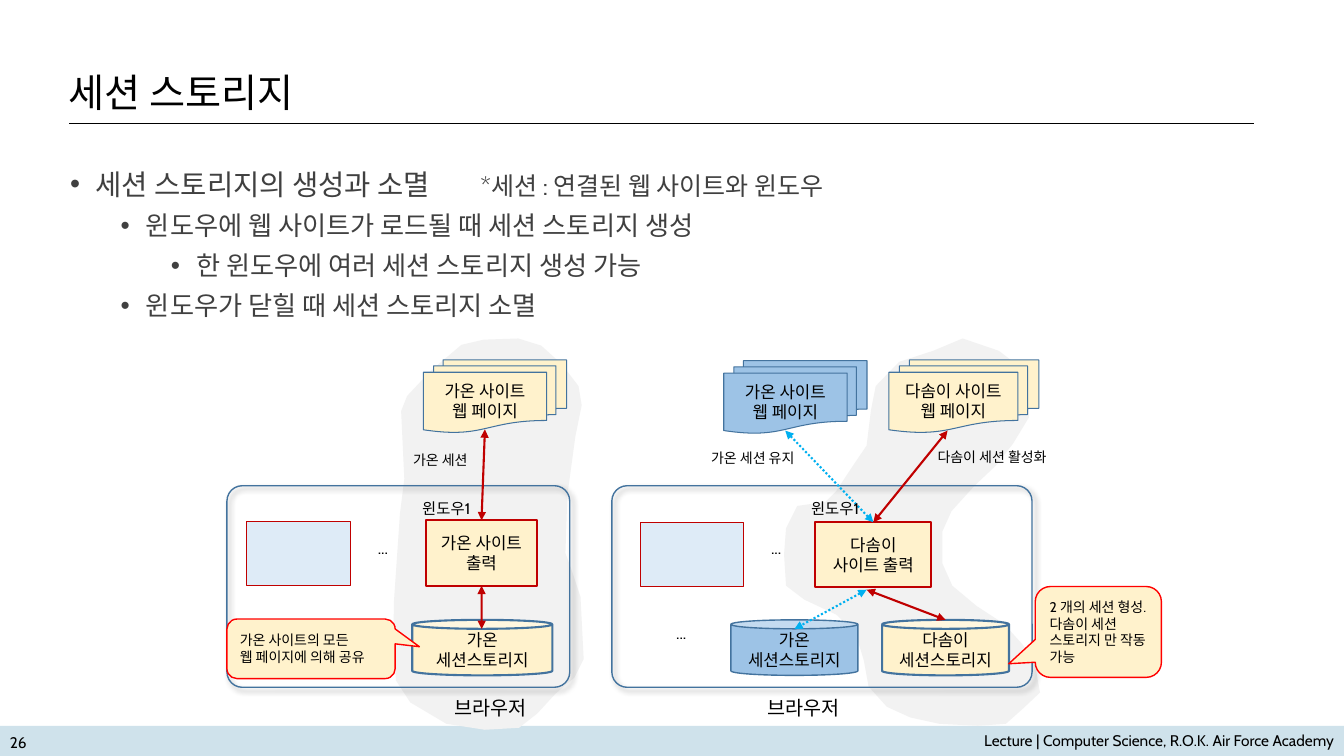
from dataclasses import dataclass
from typing import Optional

import lxml.etree
import pptx
import pptx.dml.color
import pptx.enum.dml
import pptx.enum.shapes
import pptx.enum.text
import pptx.oxml
import pptx.oxml.ns
import pptx.util

Cm, Pt = pptx.util.Cm, pptx.util.Pt
Kind = pptx.enum.shapes.MSO_SHAPE
Align = pptx.enum.text.PP_ALIGN
Anchor = pptx.enum.text.MSO_ANCHOR
NS = 'xmlns:a="http://schemas.openxmlformats.org/drawingml/2006/main"'

FONT = "Cabin"
BLACK, GREY, PALE = "000000", "404040", "F2F2F2"
CREAM, SKY, ICE, BAR = "FFF2CC", "9DC3E6", "DEEBF7", "CFE2EB"
STEEL, WINE, RED, AQUA = "43739E", "C00000", "FF0000", "00B0F0"
ROUND, CAN, RECT = Kind.ROUNDED_RECTANGLE, Kind.CAN, Kind.RECTANGLE
DOCS, CALL = Kind.FLOWCHART_MULTIDOCUMENT, Kind.ROUNDED_RECTANGULAR_CALLOUT

Box = tuple[float, float, float, float]
Point = tuple[float, float]


@dataclass
class Part:
    key: str
    kind: int
    box: Box
    fill: Optional[str]
    line: Optional[str]
    width: float = 0.75
    text: tuple[str, ...] = ()
    adj: tuple[float, ...] = ()
    size: float = 12
    align: int = Align.CENTER


@dataclass
class Label:
    text: str
    box: Box
    size: float
    align: int = Align.LEFT
    wrap: bool = False
    middle: bool = False


@dataclass
class Link:
    start: Point
    end: Point
    color: str
    dots: bool = False
    head: str = ""  # part whose bottom the link leaves
    tail: str = ""  # part whose top the link reaches


@dataclass
class Item:
    level: int
    before: float
    runs: tuple[tuple[str, float], ...]


PARTS = [
    Part("frame2", ROUND, (15.42, 12.24, 10.59, 5.08), None, STEEL, 1, adj=(0.076,)),
    Part("frame1", ROUND, (5.72, 12.24, 8.64, 5.08), None, STEEL, 1, adj=(0.076,)),
    Part("store1", CAN, (10.39, 15.62, 3.53, 1.4), CREAM, STEEL, 1.5, ("가온", "세션스토리지"), (0.162,)),
    Part("store2", CAN, (18.42, 15.62, 3.2, 1.4), SKY, STEEL, 1, ("가온", "세션스토리지"), (0.162,)),
    Part("store3", CAN, (22.23, 15.62, 3.2, 1.4), CREAM, STEEL, 1.5, ("다솜이", "세션스토리지"), (0.162,)),
    Part("blank1", RECT, (6.22, 13.13, 2.62, 1.63), ICE, WINE),
    Part("blank2", RECT, (16.13, 13.16, 2.62, 1.63), ICE, WINE),
    Part("view1", RECT, (10.74, 13.11, 2.79, 1.65), CREAM, WINE, 1.5, ("가온 사이트", "출력")),
    Part("view2", RECT, (20.55, 13.16, 2.92, 1.63), CREAM, WINE, 1.5, ("다솜이", "사이트 출력")),
    Part("note1", CALL, (5.72, 15.6, 4.24, 1.5), CREAM, RED, 1,
         ("가온 사이트의 모든", "웹 페이지에 의해 공유"), (0.644, -0.035, 0.167), 10, Align.LEFT),
    Part("note2", CALL, (26.09, 14.78, 3.18, 2.29), CREAM, RED, 1,
         ("2 개의 세션 형성. 다솜이 세션 스토리지 만 작동 가능",), (-0.71, 0.35, 0.167), 10, Align.LEFT),
    Part("pages1", DOCS, (10.67, 9.07, 3.61, 1.83), CREAM, STEEL, text=("가온 사이트", "웹 페이지")),
    Part("pages2", DOCS, (18.24, 9.09, 3.61, 1.83), SKY, STEEL, text=("가온 사이트", "웹 페이지")),
    Part("pages3", DOCS, (22.4, 9.07, 3.78, 1.83), CREAM, STEEL, text=("다솜이 사이트", "웹 페이지")),
]
LABELS = [
    Label("가온 세션", (10.08, 11.25, 2.03, 0.66), 10, Align.CENTER),
    Label("가온 세션 유지", (17.55, 11.2, 2.84, 0.66), 10, Align.CENTER),
    Label("다솜이 세션 활성화", (23.22, 11.18, 3.56, 0.66), 10, Align.CENTER, True),
    *(Label("윈도우1", (x, 12.45, 1.83, 0.74), 11) for x in (10.39, 20.19)),
    *(Label("브라우저", (x, 17.42, 2.51, 0.84), 14) for x in (11.2, 19.1)),
    *(Label("...", (x, y, 1.32, 1.96), 12, Align.CENTER, True, True)
      for x, y in ((8.99, 12.83), (18.9, 12.83), (16.51, 14.96))),
]
LINKS = [
    Link((12.22, 10.82), (12.14, 13.11), WINE, tail="view1"),
    Link((12.14, 14.76), (12.14, 15.85), WINE, head="view1"),
    Link((19.79, 10.85), (22.01, 13.16), AQUA, True, tail="view2"),
    Link((23.88, 10.85), (22.01, 13.16), WINE, tail="view2"),
    Link((21.84, 14.86), (20.02, 15.85), AQUA, True),
    Link((21.84, 14.86), (23.83, 15.62), WINE),
]
ITEMS = [
    Item(0, 10, (("세션 스토리지의 생성과 소멸\t", 20.4), ("*세션 : 연결된 웹 사이트와 윈도우", 17.9))),
    Item(1, 5, (("윈도우에 웹 사이트가 로드될 때 세션 스토리지 생성", 18.7),)),
    Item(2, 5, (("한 윈도우에 여러 세션 스토리지 생성 가능", 18.7),)),
    Item(1, 5, (("윈도우가 닫힐 때 세션 스토리지 소멸", 18.7),)),
]
BLOBS: list[list[Point]] = [
    [(11.63, 8.69), (10.85, 9.35), (10.26, 9.98), (10.11, 10.36), (10.19, 12.07), (10.08, 12.95),
     (9.93, 15.14), (9.91, 16.23), (9.98, 17.15), (10.34, 17.7), (11.25, 18.24), (12.22, 18.39),
     (13.08, 18.34), (13.54, 17.98), (14, 17.48), (14.48, 17.07), (14.71, 16.61), (14.63, 15.04),
     (14.4, 14.35), (14.25, 13.94), (14.3, 12.47), (14.5, 11), (14.66, 10.21), (14.58, 9.73),
     (14.15, 9.17), (13.64, 8.71), (13.06, 8.53), (12.19, 8.56)],
    [(24.26, 8.53), (23.52, 8.84), (22.66, 9.12), (22.07, 9.73), (21.95, 10.34), (21.84, 11.23),
     (21.46, 11.79), (21.08, 12.37), (20.8, 12.65), (20.09, 12.75), (19.81, 13.31), (19.76, 13.97),
     (19.81, 14.76), (20.27, 15.11), (21.08, 15.49), (21.56, 15.95), (21.77, 16.64), (21.89, 17.3),
     (22.35, 17.81), (22.94, 18.08), (23.67, 18.24), (24.64, 18.29), (25.35, 18.24), (25.81, 17.83),
     (26.21, 17.45), (26.06, 16.64), (25.76, 16.23), (25.3, 15.72), (24.61, 15.27), (24, 14.76),
     (23.75, 14.2), (23.75, 13.39), (23.98, 12.88), (24.56, 12.24), (25.1, 11.73), (25.53, 11.18),
     (25.93, 10.52), (25.91, 9.4), (25.17, 8.84)],
]


def rgb(code: str) -> pptx.dml.color.RGBColor:
    return pptx.dml.color.RGBColor.from_string(code)


def xml(tag: str, inner: str = ""):
    return pptx.oxml.parse_xml(f"<a:{tag} {NS}>{inner}</a:{tag.split()[0]}>")


def write(para, text: str, size: float, color: str = BLACK) -> None:
    run = para.add_run()
    run.text = text
    run.font.name, run.font.size = FONT, Pt(size)
    run.font.color.rgb = rgb(color)


def paint(shape, fill: Optional[str], line: Optional[str], width: float = 0.75) -> None:
    shape.shadow.inherit = False
    if fill:
        shape.fill.solid()
        shape.fill.fore_color.rgb = rgb(fill)
    else:
        shape.fill.background()
    if line:
        shape.line.color.rgb = rgb(line)
        shape.line.width = Pt(width)
    else:
        shape.line.fill.background()


def draw(slide, part: Part):
    shape = slide.shapes.add_shape(part.kind, *map(Cm, part.box))
    paint(shape, part.fill, part.line, part.width)
    for i, value in enumerate(part.adj):
        shape.adjustments[i] = value
    frame = shape.text_frame
    frame.word_wrap, frame.vertical_anchor = True, Anchor.MIDDLE
    for i, text in enumerate(part.text):
        para = frame.add_paragraph() if i else frame.paragraphs[0]
        para.alignment = part.align
        write(para, text, part.size)
    if part.kind == ROUND:
        glow = shape._element.spPr.find(pptx.oxml.ns.qn("a:effectLst"))
        glow.append(xml('outerShdw blurRad="50800" dist="38100" dir="2700000" algn="tl"',
                        '<a:srgbClr val="000000"><a:alpha val="40000"/></a:srgbClr>'))
    return shape


def label(slide, item: Label):
    frame = slide.shapes.add_textbox(*map(Cm, item.box)).text_frame
    frame.word_wrap = item.wrap
    frame.vertical_anchor = Anchor.MIDDLE if item.middle else Anchor.TOP
    frame.paragraphs[0].alignment = item.align
    write(frame.paragraphs[0], item.text, item.size)
    return frame


def rule(slide, start: Point, end: Point, color: str, width: float):
    line = slide.shapes.add_connector(pptx.enum.shapes.MSO_CONNECTOR.STRAIGHT, *map(Cm, start + end))
    line.line.color.rgb = rgb(color)
    line.line.width = Pt(width)
    line._element.spPr.append(xml("effectLst"))
    return line


def join(slide, link: Link, made: dict) -> None:
    line = rule(slide, link.start, link.end, link.color, 1.5)
    if link.dots:
        line.line.dash_style = pptx.enum.dml.MSO_LINE.ROUND_DOT
    for tag in ("headEnd", "tailEnd"):
        line.line._get_or_add_ln().append(xml(f'{tag} type="triangle"'))
    if link.head:
        line.begin_connect(made[link.head], 2)
    if link.tail:
        line.end_connect(made[link.tail], 0)


def bullets(slide, items: list[Item]) -> None:
    frame = slide.shapes.add_textbox(Cm(1.52), Cm(4.04), Cm(30.02), Cm(4.37)).text_frame
    frame.word_wrap = True
    for i, item in enumerate(items):
        para = frame.add_paragraph() if i else frame.paragraphs[0]
        para.level, para.line_spacing, para.space_before = item.level, 1.05, Pt(item.before)
        props = para._p.get_or_add_pPr()
        props.set("marL", str(Cm(0.64 + 1.27 * item.level)))
        props.set("indent", str(Cm(-0.64)))
        props.append(xml('buFont typeface="Arial"'))
        props.append(xml('buChar char="•"'))
        if "\t" in item.runs[0][0]:
            props.append(xml("tabLst", f'<a:tab pos="{Cm(10.34)}" algn="l"/>'))
        for text, size in item.runs:
            write(para, text, size, GREY)


def main() -> None:
    deck = pptx.Presentation()
    deck.slide_width, deck.slide_height = Cm(33.87), Cm(19.05)
    slide = deck.slides.add_slide(deck.slide_layouts[6])

    # Footer
    draw(slide, Part("bar", RECT, (0, 18.29, 33.87, 0.76), BAR, None))
    label(slide, Label("Lecture | Computer Science, R.O.K. Air Force Academy",
                       (1.93, 18.29, 31.95, 0.71), 11, Align.RIGHT, True))
    label(slide, Label("26", (0, 18.39, 1.93, 0.61), 11, wrap=True, middle=True))

    # Title and its rules
    title = label(slide, Label("세션 스토리지", (1.73, 1.85, 29.79, 1.07), 28, wrap=True, middle=True))
    title.margin_left = title.margin_right = title.margin_top = title.margin_bottom = 0
    title.paragraphs[0].line_spacing = 0.9
    for start, end in (((1.85, 3.1), (31.6, 3.1)), ((1.75, 3.12), (31.57, 3.12))):
        rule(slide, start, end, BLACK, 0.5)
    bullets(slide, ITEMS)

    # Diagram
    for blob in BLOBS:
        pen = slide.shapes.build_freeform(Cm(blob[0][0]), Cm(blob[0][1]))
        pen.add_line_segments([(Cm(x), Cm(y)) for x, y in blob[1:]])
        paint(pen.convert_to_shape(), PALE, None)
    made = {part.key: draw(slide, part) for part in PARTS}
    for link in LINKS:
        join(slide, link, made)
    for item in LABELS:
        label(slide, item)

    deck.save("out.pptx")


if __name__ == "__main__":
    main()
